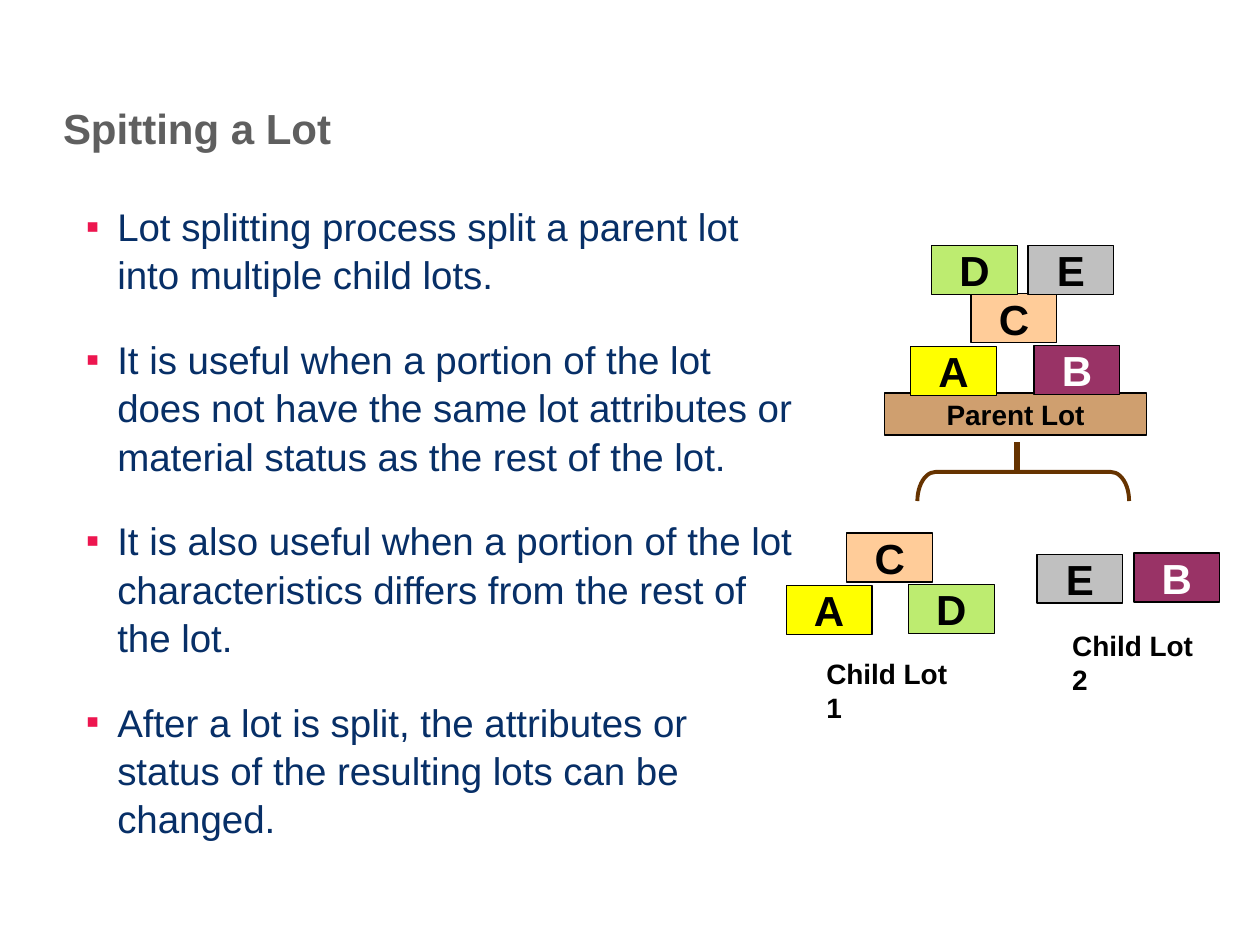
import pptx
import pptx.util
import pptx.dml.color
import pptx.enum.shapes
import pptx.enum.text
import pptx.oxml
import pptx.oxml.ns

Pt = pptx.util.Pt
RGBColor = pptx.dml.color.RGBColor
Shape = pptx.enum.shapes.MSO_SHAPE
Align = pptx.enum.text.PP_ALIGN
Anchor = pptx.enum.text.MSO_ANCHOR

FONT = "Arial"
BLACK = RGBColor(0x00, 0x00, 0x00)
WHITE = RGBColor(0xFF, 0xFF, 0xFF)
GRAY = RGBColor(0x5F, 0x5F, 0x5F)
NAVY = RGBColor(0x07, 0x2F, 0x67)
TAN = RGBColor(0xCF, 0x9F, 0x6F)
BROWN = RGBColor(0x66, 0x33, 0x00)
PINK = RGBColor(0xED, 0x16, 0x4F)
LOTS = {
    "A": (RGBColor(0xFF, 0xFF, 0x00), BLACK),
    "B": (RGBColor(0x99, 0x33, 0x66), WHITE),
    "C": (RGBColor(0xFF, 0xCC, 0x99), BLACK),
    "D": (RGBColor(0xBD, 0xEC, 0x70), BLACK),
    "E": (RGBColor(0xC0, 0xC0, 0xC0), BLACK),
}
TILE_W, TILE_H = 49, 28

POINTS = [
    "Lot splitting process split a parent lot into multiple child lots.",
    "It is useful when a portion of the lot does not have the same lot "
    "attributes or material status as the rest of the lot.",
    "It is also useful when a portion of the lot characteristics differs "
    "from the rest of the lot.",
    "After a lot is split, the attributes or status of the resulting lots "
    "can be changed.",
]


def place(shape, box):
    shape.left, shape.top, shape.width, shape.height = map(Pt, box)


def write(para, text, size, color, bold=False):
    run = para.add_run()
    run.text = text
    font = run.font
    font.name, font.size, font.bold = FONT, Pt(size), bold
    font.color.rgb = color


def set_frame(frame, anchor):
    frame.auto_size = pptx.enum.text.MSO_AUTO_SIZE.NONE
    frame.word_wrap = True
    frame.vertical_anchor = anchor
    frame.margin_left = frame.margin_right = 0
    frame.margin_top = frame.margin_bottom = Pt(3.6)


def add_title(slide, box):
    title = slide.shapes.title
    place(title, box)
    set_frame(title.text_frame, Anchor.BOTTOM)
    para = title.text_frame.paragraphs[0]
    para.alignment = Align.LEFT
    write(para, "Spitting a Lot", 24, GRAY, True)


def set_bullet(para):
    props = para._p.get_or_add_pPr()
    props.set("marL", str(Pt(18)))
    props.set("indent", str(Pt(-18)))
    space = pptx.oxml.ns.nsdecls("a")
    for part in (
        f'<a:buClr {space}><a:srgbClr val="{PINK}"/></a:buClr>',
        f'<a:buFont {space} typeface="{FONT}"/>',
        f'<a:buChar {space} char="▪"/>',
    ):
        props.append(pptx.oxml.parse_xml(part))


def add_list(slide, box):
    body = slide.placeholders[1]
    place(body, box)
    frame = body.text_frame
    set_frame(frame, Anchor.TOP)
    for i, text in enumerate(POINTS):
        para = frame.add_paragraph() if i else frame.paragraphs[0]
        set_bullet(para)
        para.line_spacing = 1.05
        para.space_before = Pt(20.6 if i else 0)
        write(para, text, 22, NAVY)


def add_block(slide, box, text, fill, color, size):
    block = slide.shapes.add_shape(Shape.RECTANGLE, *map(Pt, box))
    block.shadow.inherit = False
    block.fill.solid()
    block.fill.fore_color.rgb = fill
    block.line.color.rgb = BLACK
    block.line.width = Pt(0.75)
    frame = block.text_frame
    frame.word_wrap = False
    frame.vertical_anchor = Anchor.MIDDLE
    para = frame.paragraphs[0]
    para.alignment = Align.CENTER
    write(para, text, size, color, True)


def add_tiles(slide, left, top, tiles):
    for name, x, y in tiles:
        fill, color = LOTS[name]
        box = (left + x, top + y, TILE_W, TILE_H)
        add_block(slide, box, name, fill, color, 24)


def add_parent(slide, box):
    left, top, width, height = box
    base = (left, top + height - 24, width, 24)
    add_block(slide, base, "Parent Lot", TAN, BLACK, 16)
    add_tiles(slide, left, top, [
        ("A", 15, 57.5), ("B", 85.5, 57), ("C", 49.5, 27.5),
        ("D", 27, 0), ("E", 82, 0),
    ])


def add_fork(slide, box):
    left, top, width, height = box
    stem, depth = 17, height - 17
    arch = slide.shapes.add_shape(Shape.RIGHT_BRACKET, 0, 0, 0, 0)
    place(arch, (left + (width - depth) / 2,
                 top + stem + (depth - width) / 2, depth, width))
    arch.rotation = 270
    arch.adjustments[0] = 0.62
    arch.shadow.inherit = False
    arch.fill.background()
    x = left + 57
    line = slide.shapes.add_connector(
        pptx.enum.shapes.MSO_CONNECTOR.STRAIGHT,
        Pt(x), Pt(top + stem), Pt(x), Pt(top))
    line._element.spPr.append(pptx.oxml.parse_xml(
        f'<a:effectLst {pptx.oxml.ns.nsdecls("a")}/>'))
    for part, weight in ((arch, 2.25), (line, 3)):
        part.line.color.rgb = BROWN
        part.line.width = Pt(weight)


def add_child(slide, box, inset, text, tiles):
    left, top, width, height = box
    add_tiles(slide, left, top, tiles)
    label = slide.shapes.add_textbox(
        Pt(left + inset), Pt(top + height - 26.6), Pt(96.5), Pt(26.6))
    label.text_frame.word_wrap = False
    write(label.text_frame.paragraphs[0], text, 16, BLACK, True)


def main():
    deck = pptx.Presentation()
    deck.slide_width, deck.slide_height = Pt(720), Pt(540)
    slide = deck.slides.add_slide(deck.slide_layouts[1])
    add_title(slide, (36, 25.2, 619.2, 65.5))
    add_list(slide, (49, 110.9, 407.5, 387.4))
    add_parent(slide, (505.4, 140.4, 150, 108.2))
    add_fork(slide, (524.2, 252.7, 121, 33.6))
    add_child(slide, (449.3, 304.6, 119, 93.6), 15.8, "Child Lot 1",
              [("A", 0, 30), ("D", 69.8, 29.5), ("C", 34.6, 0)])
    add_child(slide, (592.6, 316, 104.4, 66.3), 13, "Child Lot 2",
              [("E", 0, 0.7), ("B", 55.4, 0)])
    deck.save("out.pptx")


if __name__ == "__main__":
    main()
